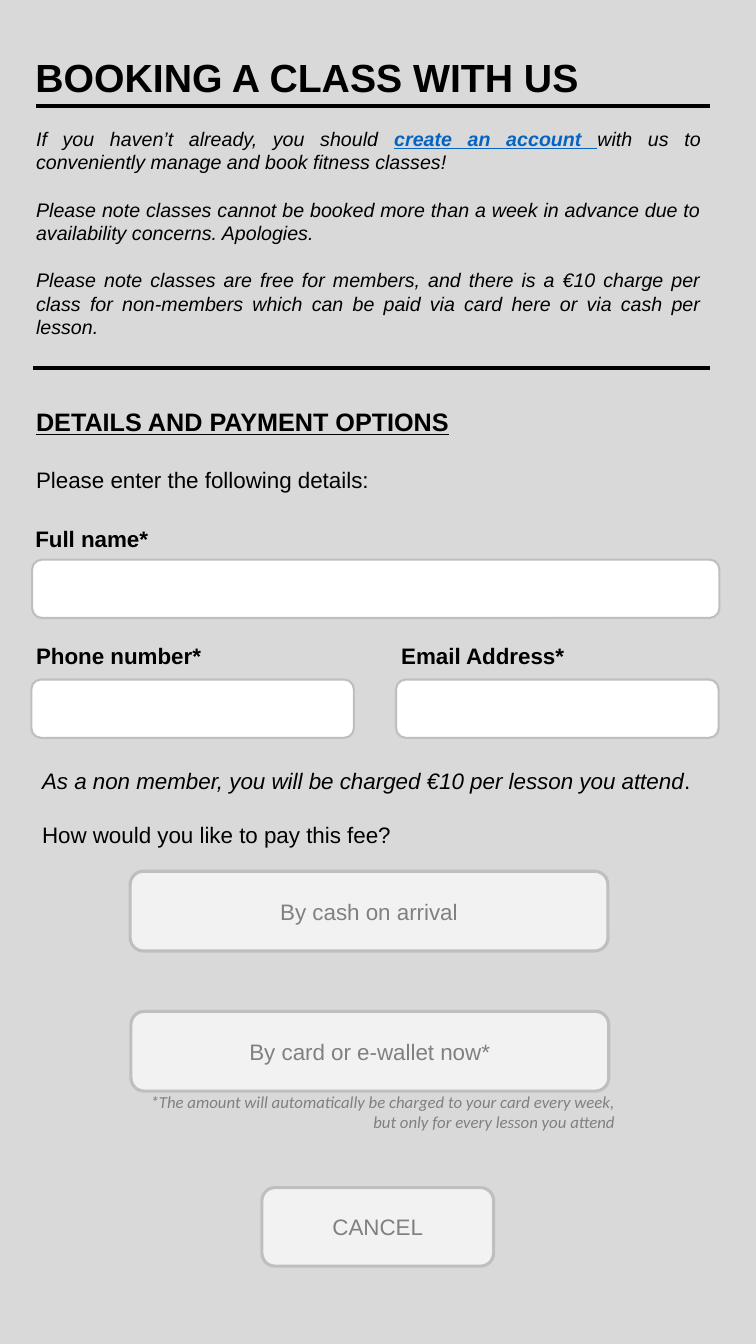
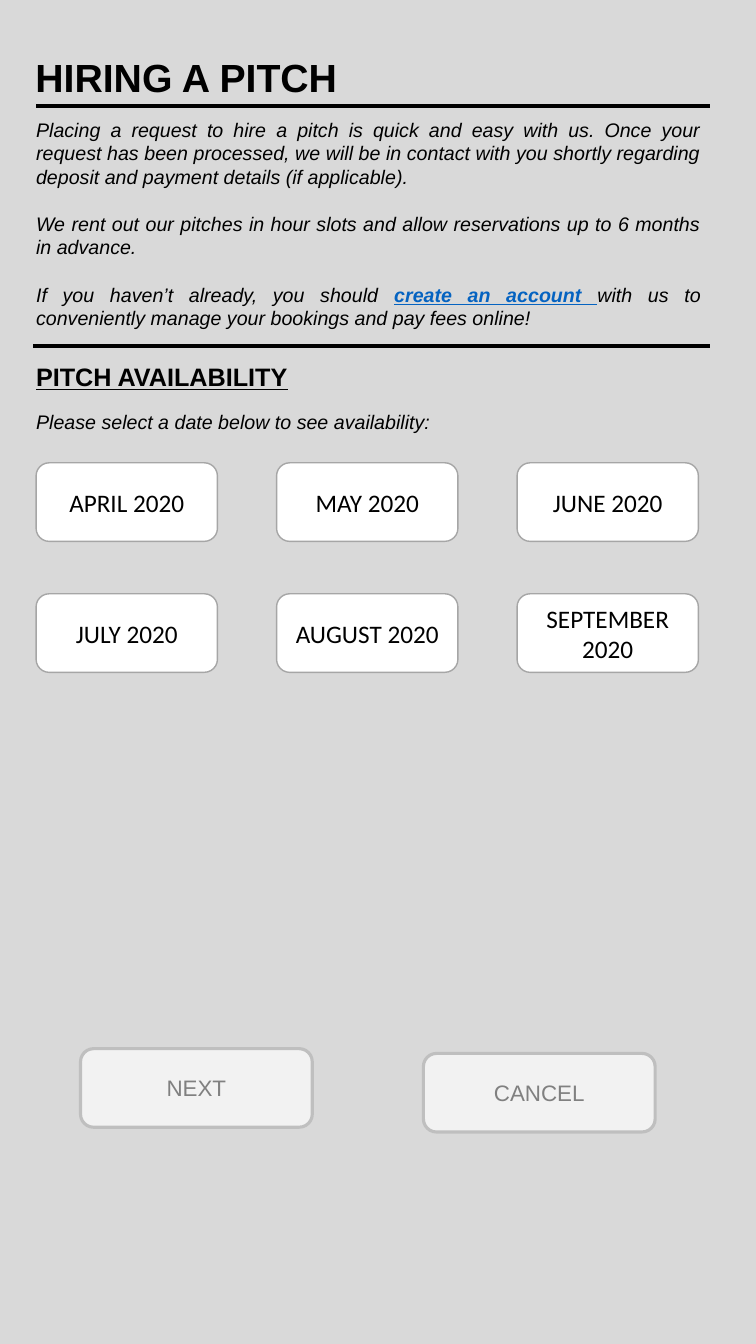
from dataclasses import dataclass

from lxml import etree
from pptx import Presentation, util as u
from pptx.dml.color import RGBColor as Rgb
from pptx.enum import shapes as kinds, text as t
from pptx.oxml.ns import qn


@dataclass(frozen=True)
class Theme:
    back: str = "D9D9D9"
    ink: str = "000000"
    link: str = "0563C1"
    mute: str = "808080"
    soft: str = "F2F2F2"
    white: str = "FFFFFF"
    edge: str = "BFBFBF"
    rim: str = "A6A6A6"
    sans: str = "Arial"
    alt: str = "Calibri"
    title: int = 28
    head: int = 18
    text: int = 16
    body: int = 14
    note: int = 12
    lead: float = 1.2


look = Theme()
LEFT, MID = t.PP_ALIGN.LEFT, t.PP_ALIGN.CENTER
RIGHT, FULL = t.PP_ALIGN.RIGHT, t.PP_ALIGN.JUSTIFY


def write(shape, paras, size, ink=look.ink, font=look.sans, align=LEFT):
    """Fill shape with paragraphs of (text, marks) runs; marks: b, i, u, l for link."""
    frame = shape.text_frame
    frame.word_wrap = True
    frame.auto_size = t.MSO_AUTO_SIZE.NONE
    for n, runs in enumerate(paras):
        para = frame.add_paragraph() if n else frame.paragraphs[0]
        para.alignment = align
        if len(paras) > 1:
            para.line_spacing = u.Pt(size * look.lead)
            para.space_before = u.Pt(size * look.lead if n else 0)
        for words, marks in runs:
            run = para.add_run()
            run.text = words
            face = run.font
            face.name, face.size = font, u.Pt(size)
            face.bold, face.italic, face.underline = (m in marks for m in "biu")
            face.color.rgb = Rgb.from_string(look.link if "l" in marks else ink)


def pill(page, box, fill=look.soft, edge=look.edge, width=2.25):
    shape = page.shapes.add_shape(
        kinds.MSO_SHAPE.ROUNDED_RECTANGLE, *map(u.Cm, box))
    shape.shadow.inherit = False
    shape.fill.solid()
    shape.fill.fore_color.rgb = Rgb.from_string(fill)
    shape.line.color.rgb = Rgb.from_string(edge)
    shape.line.width = u.Pt(width)
    shape.text_frame.vertical_anchor = t.MSO_ANCHOR.MIDDLE
    return shape


deck = Presentation()
deck.slide_width, deck.slide_height = u.Cm(19.05), u.Cm(33.86)
paper = deck.slide_master.background.fill
paper.solid()
paper.fore_color.rgb = Rgb.from_string(look.back)

join = [("If you haven’t already, you should ", "i"), ("create an account ", "biul")]
book = [
    join + [("with us to conveniently manage and book fitness classes!", "i")],
    [("Please note classes cannot be booked more than a week in advance due to "
      "availability concerns. Apologies.", "i")],
    [("Please note classes are free for members, and there is a €10 charge per "
      "class for non-members which can be paid via card here or via cash per "
      "lesson.", "i")],
]
hire = [
    [("Placing a request to hire a pitch is quick and easy with us. Once your "
      "request has been processed, we will be in contact with you shortly "
      "regarding deposit and payment details (if applicable).", "i")],
    [("We rent out our pitches in hour slots and allow reservations up to "
      "6 months in advance.", "i")],
    join + [("with us to conveniently manage your bookings and pay fees online!", "i")],
]

# Title, intro, section heading and the rules around them
pages = []
for title, intro, top, rule, head, drop in (
    ("BOOKING A CLASS WITH US", book, 3.07, 9.27, "DETAILS AND PAYMENT OPTIONS", 10.11),
    ("HIRING A PITCH", hire, 2.84, 8.71, "PITCH AVAILABILITY", 8.99),
):
    page = deck.slides.add_slide(deck.slide_layouts[5])
    pages.append(page)
    name = page.shapes.title
    name.left, name.top, name.width, name.height = map(u.Cm, (0.64, 1.22, 15, 1.45))
    name.text_frame.vertical_anchor = t.MSO_ANCHOR.TOP
    write(name, [[(title, "b")]], look.title)
    for x, y in ((0.91, 2.67), (0.84, rule)):
        line = page.shapes.add_connector(
            kinds.MSO_CONNECTOR.STRAIGHT, *map(u.Cm, (x, y, 17.88, y)))
        line.line.color.rgb = Rgb.from_string(look.ink)
        line.line.width = u.Pt(3)
        etree.SubElement(line._element.spPr, qn("a:effectLst"))
    for box, paras, size, align in (
        ((0.66, top, 17.25, 5.64), intro, look.body, FULL),
        ((0.66, drop, 17.4, 1.02), [[(head, "bu")]], look.head, LEFT),
    ):
        write(page.shapes.add_textbox(*map(u.Cm, box)), paras, size, align=align)

form, plan = pages

# Booking form
for x, y, label, box in (
    (0.64, 13.11, "Full name*", (0.81, 14.1, 17.32, 1.47)),
    (0.66, 16.05, "Phone number*", (0.79, 17.12, 8.13, 1.47)),
    (9.86, 16.05, "Email Address*", (9.98, 17.12, 8.13, 1.47)),
):
    write(form.shapes.add_textbox(*map(u.Cm, (x, y, 8, 0.94))),
          [[(label, "b")]], look.text)
    pill(form, box, look.white, width=1.5)

fee = [
    [("As a non member, you will be charged €10 per lesson you attend", "i"), (".", "")],
    [("How would you like to pay this fee?", "")],
]
for page, box, paras, size in (
    (form, (0.66, 11.63, 18.06, 0.94),
     [[("Please enter the following details:", "")]], look.text),
    (form, (0.81, 19.2, 18.06, 2.31), fee, look.text),
    (plan, (0.66, 10.19, 17.25, 0.86),
     [[("Please select a date below to see availability:", "i")]], look.body),
):
    write(page.shapes.add_textbox(*map(u.Cm, box)), paras, size)

# Grey buttons on both slides
for page, box, label in (
    (form, (3.28, 21.95, 12.04, 2.01), "By cash on arrival"),
    (form, (3.3, 25.48, 12.04, 2.01), "By card or e-wallet now*"),
    (form, (6.6, 29.92, 5.84, 1.98), "CANCEL"),
    (plan, (2.03, 26.42, 5.84, 1.98), "NEXT"),
    (plan, (10.67, 26.54, 5.84, 1.98), "CANCEL"),
):
    write(pill(page, box), [[(label, "")]], look.text, look.mute, align=MID)

write(form.shapes.add_textbox(*map(u.Cm, (2.97, 27.38, 12.78, 1.27))),
      [[("*The amount will automatically be charged to your card every week, "
         "but only for every lesson you attend", "i")]],
      look.note, look.mute, look.alt, RIGHT)

# Month grid
months = ("APRIL", "MAY", "JUNE", "JULY", "AUGUST", "SEPTEMBER")
for n, month in enumerate(months):
    row, col = divmod(n, 3)
    box = 0.91 + col * 6.06, 11.66 + row * 3.3, 4.57, 1.98
    write(pill(plan, box, look.white, look.rim, 1), [[(f"{month} 2020", "")]],
          look.head, font=look.alt, align=MID)

deck.save("out.pptx")
